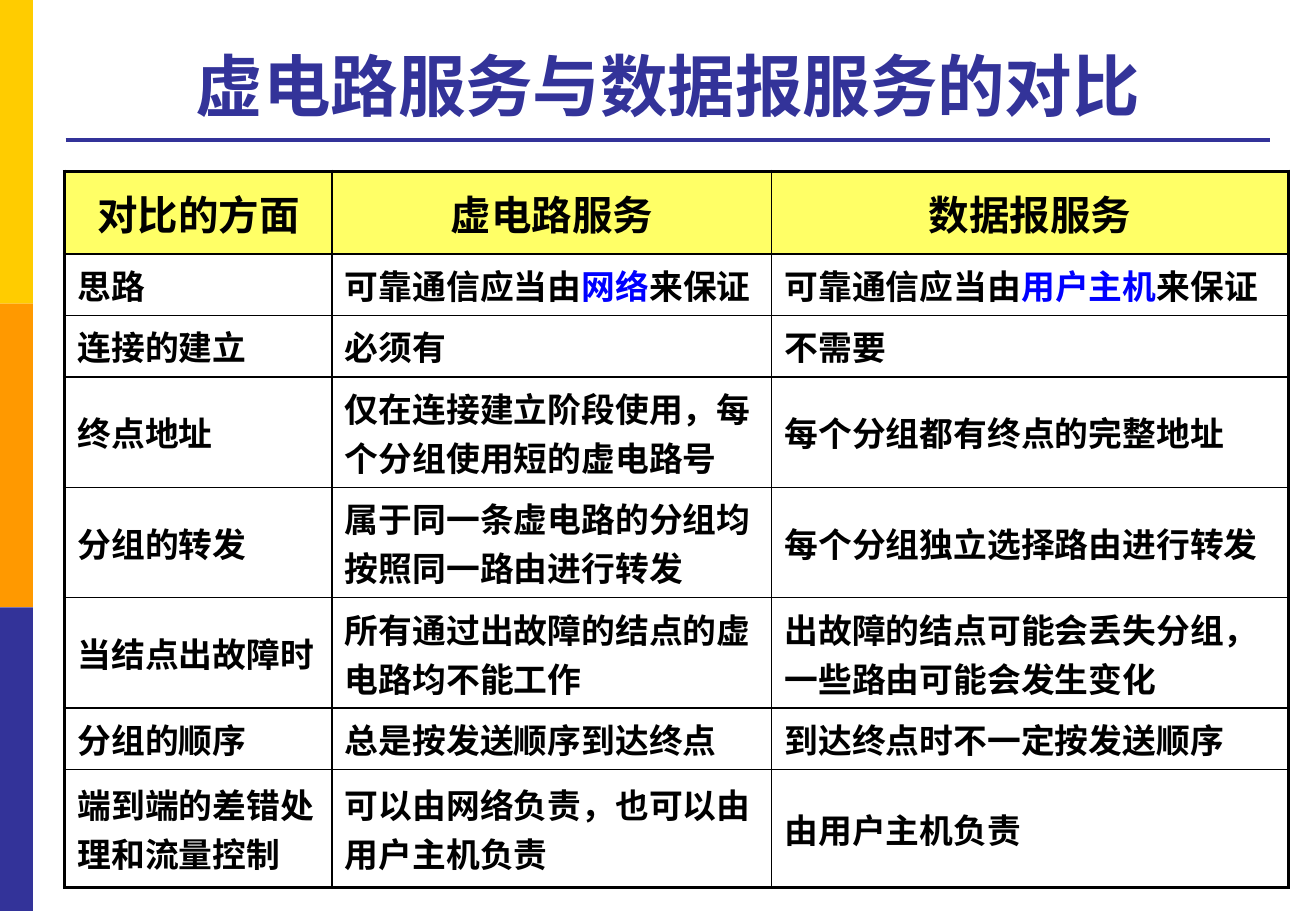
from lxml import etree
from pptx import Presentation
from pptx import util as u
from pptx.dml.color import RGBColor
from pptx.enum import lang, shapes, text
from pptx.oxml.ns import qn

GOLD = RGBColor(0xFF, 0xCC, 0x00)
ORANGE = RGBColor(0xFF, 0x99, 0x00)
NAVY = RGBColor(0x33, 0x33, 0x99)
YELLOW = RGBColor(0xFF, 0xFF, 0x66)
BLUE = RGBColor(0x00, 0x00, 0xFF)
BLACK = RGBColor(0x00, 0x00, 0x00)
CJK = "Noto Sans CJK SC"
THIN, THICK = u.Pt(1), u.Pt(2.25)
WIDTHS = [5.59, 9.19, 10.8]
HEIGHTS = [1.73, 1, 1, 1.73, 1.73, 1.73, 1, 2.46]
ROWS = [
    ["对比的方面", "虚电路服务", "数据报服务"],
    ["思路", ["可靠通信应当由", "网络", "来保证"],
     ["可靠通信应当由", "用户主机", "来保证"]],
    ["连接的建立", "必须有", "不需要"],
    ["终点地址", "仅在连接建立阶段使用，每个分组使用短的虚电路号",
     "每个分组都有终点的完整地址"],
    ["分组的转发", "属于同一条虚电路的分组均按照同一路由进行转发",
     "每个分组独立选择路由进行转发"],
    ["当结点出故障时", "所有通过出故障的结点的虚电路均不能工作",
     "出故障的结点可能会丢失分组，一些路由可能会发生变化"],
    ["分组的顺序", "总是按发送顺序到达终点", "到达终点时不一定按发送顺序"],
    ["端到端的差错处理和流量控制", "可以由网络负责，也可以由用户主机负责",
     "由用户主机负责"],
]


def add_run(para, words, size, color, face):
    """Add one bold Chinese run to a paragraph."""
    run = para.add_run()
    run.text = words
    font = run.font
    font.size, font.bold, font.name = u.Pt(size), True, face
    font.color.rgb = color
    font.language_id = lang.MSO_LANGUAGE_ID.SIMPLIFIED_CHINESE
    east = etree.SubElement(run._r.get_or_add_rPr(), qn("a:ea"))
    east.set("typeface", CJK)


def add_bars(slide, left, top, width, height):
    """Stack equal colour bars down the given box."""
    colors = [GOLD, ORANGE, NAVY]
    step = height // len(colors)
    for i, color in enumerate(colors):
        bar = slide.shapes.add_shape(
            shapes.MSO_SHAPE.RECTANGLE, left, top + i * step, width, step)
        bar.shadow.inherit = False
        bar.fill.solid()
        bar.fill.fore_color.rgb = color
        bar.line.fill.background()


def add_title(slide, left, top, width, height):
    """Place the title in the box and a rule below it."""
    title = slide.shapes.title
    title.left, title.top, title.width, title.height = left, top, width, height
    frame = title.text_frame
    frame.auto_size = text.MSO_AUTO_SIZE.NONE
    frame.vertical_anchor = text.MSO_ANCHOR.BOTTOM
    para = frame.paragraphs[0]
    para.alignment = text.PP_ALIGN.CENTER
    add_run(para, "虚电路服务与数据报服务的对比", 40, NAVY, CJK)
    y = top + height + u.Cm(0.18)
    rule = slide.shapes.add_connector(
        shapes.MSO_CONNECTOR.STRAIGHT, left, y, left + width, y)
    rule.line.color.rgb, rule.line.width = NAVY, THICK
    etree.SubElement(rule._element.spPr, qn("a:effectLst"))


def set_edges(cell, edges):
    """Draw the cell borders, given as side and width pairs."""
    props = cell._tc.get_or_add_tcPr()
    for i, (side, width) in enumerate(edges):
        line = etree.Element(qn("a:ln" + side), w=str(width))
        fill = etree.SubElement(line, qn("a:solidFill"))
        etree.SubElement(fill, qn("a:srgbClr"), val=str(BLACK))
        props.insert(i, line)


def fill_cell(cell, parts, head):
    """Write the cell text, with every second part in blue."""
    cell.vertical_anchor = text.MSO_ANCHOR.MIDDLE
    cell.margin_left = cell.margin_right = u.Cm(0.27)
    cell.margin_top = cell.margin_bottom = u.Cm(0.13)
    para = cell.text_frame.paragraphs[0]
    para.alignment = text.PP_ALIGN.CENTER if head else text.PP_ALIGN.LEFT
    for i, words in enumerate([parts] if isinstance(parts, str) else parts):
        add_run(para, words, 24 if head else 20, BLUE if i % 2 else BLACK, "Arial")
    if head:
        cell.fill.solid()
        cell.fill.fore_color.rgb = YELLOW
    else:
        cell.fill.background()


def add_grid(slide, left, top, width, height):
    """Build the comparison table in the box."""
    table = slide.shapes.add_table(
        len(ROWS), len(WIDTHS), left, top, width, height).table
    table.first_row = table.horz_banding = False
    for col, size in zip(table.columns, WIDTHS):
        col.width = u.Cm(size)
    for row, size in zip(table.rows, HEIGHTS):
        row.height = u.Cm(size)
    for r, row in enumerate(ROWS):
        for c, parts in enumerate(row):
            cell = table.cell(r, c)
            fill_cell(cell, parts, r == 0)
            outer = {"L": c == 0, "R": c == len(WIDTHS) - 1,
                     "T": r == 0, "B": r == len(ROWS) - 1}
            set_edges(cell, [(side, THICK if out else THIN)
                             for side, out in outer.items()])


def main():
    """Build and save the slide."""
    deck = Presentation()
    deck.slide_width, deck.slide_height = u.Cm(27.51), u.Cm(19.05)
    slide = deck.slides.add_slide(deck.slide_layouts[5])
    add_bars(slide, 0, 0, u.Cm(0.69), deck.slide_height)
    add_title(slide, u.Cm(1.37), u.Cm(0.54), u.Cm(25.18), u.Cm(2.2))
    add_grid(slide, u.Cm(1.35), u.Cm(3.58), u.Cm(sum(WIDTHS)), u.Cm(sum(HEIGHTS)))
    deck.save("out.pptx")


if __name__ == "__main__":
    main()
